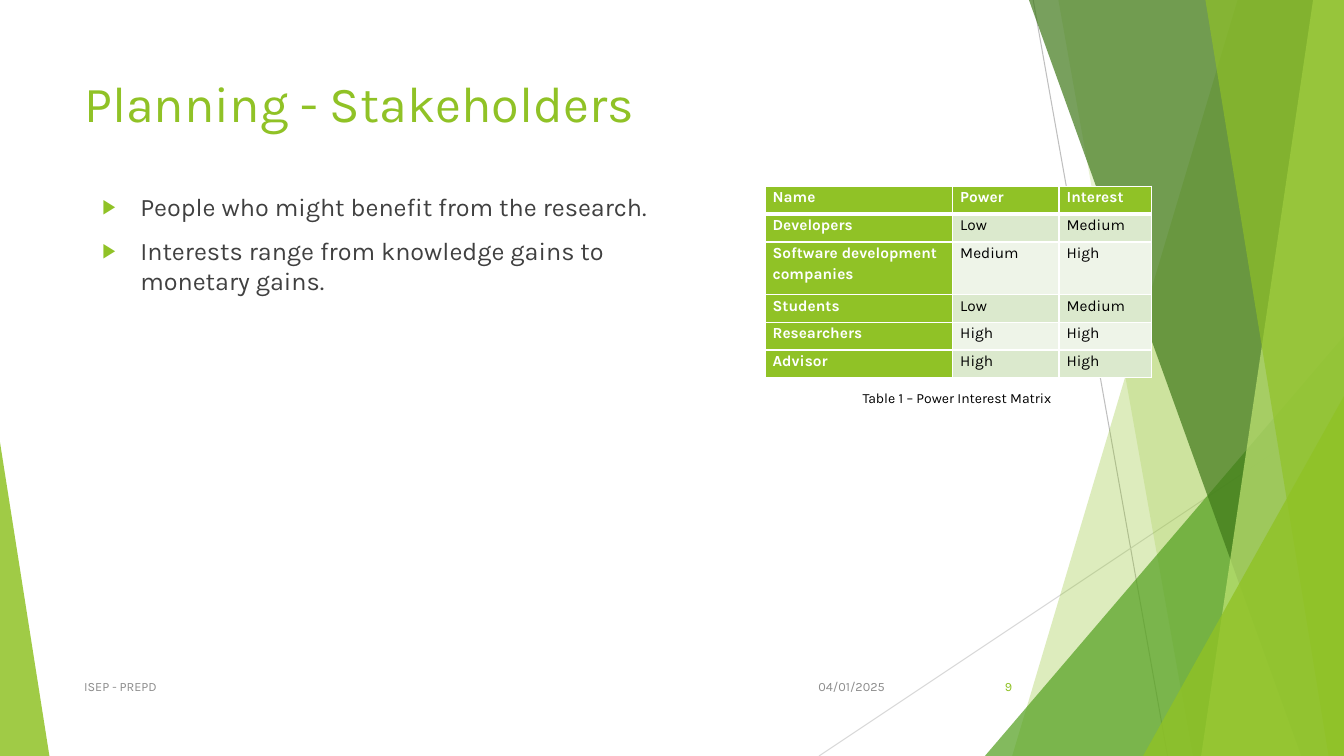
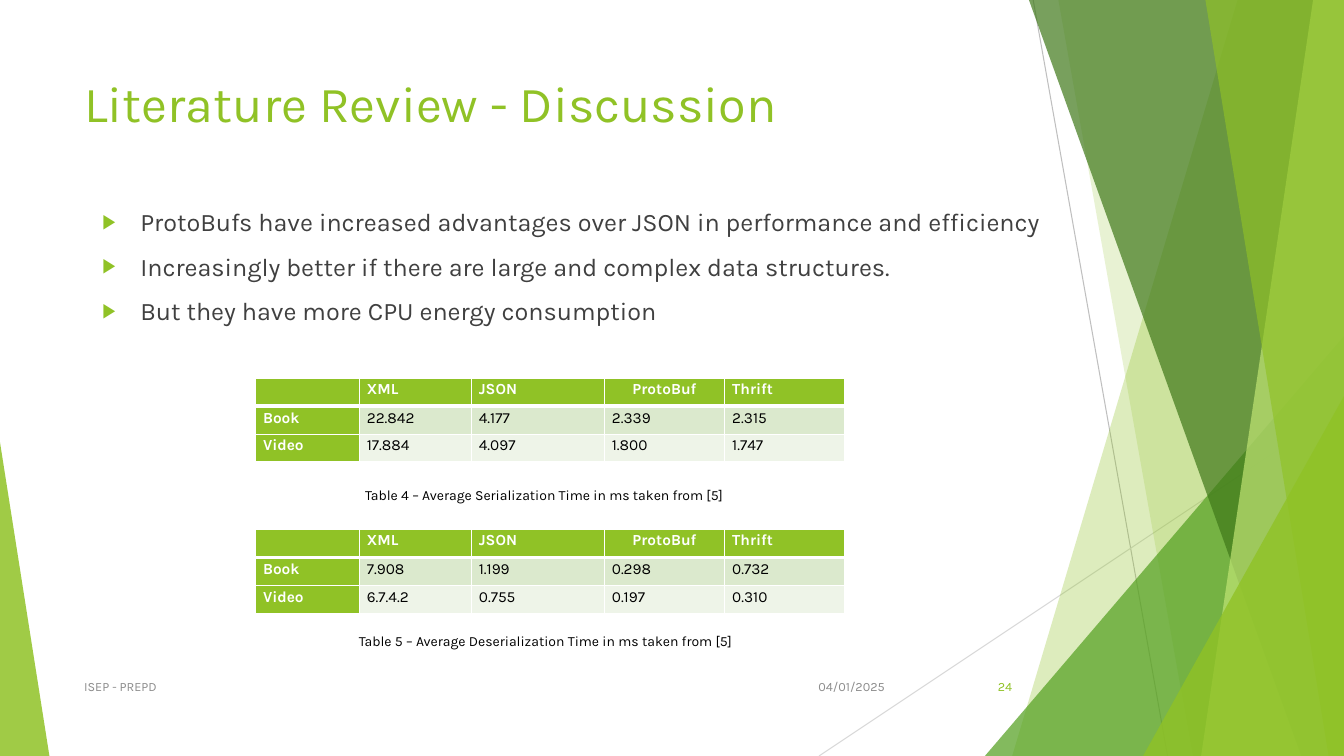
from lxml import etree
from pptx import Presentation
from pptx.dml.color import RGBColor
from pptx.enum.shapes import MSO_CONNECTOR, MSO_SHAPE
from pptx.enum.text import MSO_ANCHOR, MSO_AUTO_SIZE, PP_ALIGN
from pptx.oxml.ns import qn
from pptx.util import Pt

LEFT, CENTER, RIGHT = PP_ALIGN.LEFT, PP_ALIGN.CENTER, PP_ALIGN.RIGHT
TOP, MIDDLE = MSO_ANCHOR.TOP, MSO_ANCHOR.MIDDLE
STRAIGHT, TRIANGLE = MSO_CONNECTOR.STRAIGHT, MSO_SHAPE.ISOSCELES_TRIANGLE
NO_AUTOFIT = MSO_AUTO_SIZE.NONE

WIDTH, HEIGHT = 960, 540
FONT = "Karla"
GREEN, LEAF, FOREST, LIME = "90C226", "54A021", "3F7819", "C0E474"
WHITE, BLACK, BODY_GREY, FOOTER_GREY = "FFFFFF", "000000", "404040", "8C8C8C"
ROW_TINTS = ["EEF4E8", "DBE9CD"]
ROW_HEIGHT = 19.9


def solid(fill, colour):
    fill.solid()
    fill.fore_color.rgb = RGBColor.from_string(colour)


def write(para, text, size, colour, bold=False, align=LEFT, before=0, after=0,
          spacing=1.0, bullet=None):
    para.alignment = align
    para.line_spacing = spacing
    para.space_before, para.space_after = Pt(before), Pt(after)
    if bullet:
        properties = para._p.get_or_add_pPr()
        properties.set("marL", str(Pt(27)))
        properties.set("indent", str(Pt(-27)))
        bullet_colour = etree.SubElement(properties, qn("a:buClr"))
        etree.SubElement(bullet_colour, qn("a:srgbClr"), val=GREEN)
        etree.SubElement(properties, qn("a:buSzPct"), val="80000")
        etree.SubElement(properties, qn("a:buChar"), char=bullet)
    span = para.add_run()
    span.text = text
    span.font.name = FONT
    span.font.size = Pt(size)
    span.font.bold = bold
    span.font.color.rgb = RGBColor.from_string(colour)


TIMING_COLUMNS = [74.2, 80, 95, 86, 86]
TIMING_HEADER = ["", "XML", "JSON", "ProtoBuf", "Thrift"]

# Tables: left, top, column widths, rows. Captions: left, top, width, text.
contents = [
    {
        "title": "Planning - Stakeholders",
        "number": "9",
        "body": (66, 133, 408, 343),
        "bullets": [
            "People who might benefit from the research.",
            "Interests range from knowledge gains to monetary gains.",
        ],
        "tables": [
            (546.5, 133, [134, 76, 66], [
                ["Name", "Power", "Interest"],
                ["Developers", "Low", "Medium"],
                ["Software development companies", "Medium", "High"],
                ["Students", "Low", "Medium"],
                ["Researchers", "High", "High"],
                ["Advisor", "High", "High"],
            ]),
        ],
        "captions": [(535, 275, 297, "Table 1 – Power Interest Matrix")],
    },
    {
        "title": "Literature Review - Discussion",
        "number": "24",
        "body": (66, 144, 828, 343),
        "bullets": [
            "ProtoBufs have increased advantages over JSON in performance and efficiency",
            "Increasingly better if there are large and complex data structures.",
            "But they have more CPU energy consumption",
        ],
        "tables": [
            (182.5, 270, TIMING_COLUMNS, [
                TIMING_HEADER,
                ["Book", "22.842", "4.177", "2.339", "2.315"],
                ["Video", "17.884", "4.097", "1.800", "1.747"],
            ]),
            (182.5, 378, TIMING_COLUMNS, [
                TIMING_HEADER,
                ["Book", "7.908", "1.199", "0.298", "0.732"],
                ["Video", "6.7.4.2", "0.755", "0.197", "0.310"],
            ]),
        ],
        "captions": [
            (181, 344, 415, "Table 4 – Average Serialization Time in ms taken from [5]"),
            (182, 448, 415, "Table 5 – Average Deserialization Time in ms taken from [5]"),
        ],
    },
]

deck = Presentation()
deck.slide_width, deck.slide_height = Pt(WIDTH), Pt(HEIGHT)
layout = deck.slide_layouts[1]
heading = layout.placeholders[0]
heading.left, heading.top, heading.width, heading.height = Pt(53), Pt(48), Pt(677), Pt(104)
pages = [deck.slides.add_slide(layout) for _ in contents]

# Backdrop: drawn on the first page, then moved to the shared layout
canvas = pages[0].shapes
backdrop = []
for x1, y1, x2, y2, colour in [(738, 0, 834, HEIGHT, "BFBFBF"),
                               (WIDTH, 290, 585, HEIGHT, "D9D9D9")]:
    line = canvas.add_connector(STRAIGHT, Pt(x1), Pt(y1), Pt(x2), Pt(y2))
    solid(line.line.fill, colour)
    line.line.width = Pt(0.75)
    etree.SubElement(line.element.spPr, qn("a:effectLst"))
    backdrop.append(line)

# A band has its top and bottom x; a triangle has left, top, width and apex
for outline, colour, opacity in [
    ((884, 723), GREEN, 30),
    ((756, 852), GREEN, 20),
    ((703.5, 240, 256.5, 1), LEAF, 72),
    ((735, 929.5), FOREST, 70),
    ((938, 858), LIME, 70),
    ((861, 949), GREEN, 65),
    ((816.5, 283, 143.5, 1), GREEN, 80),
    ((0, 316, 35.3, 0), GREEN, 85),
]:
    if len(outline) == 2:
        top_x, bottom_x = outline
        builder = canvas.build_freeform(Pt(top_x), 0)
        builder.add_line_segments([(Pt(WIDTH), 0), (Pt(WIDTH), Pt(HEIGHT)),
                                   (Pt(bottom_x), Pt(HEIGHT))], close=True)
        shape = builder.convert_to_shape()
    else:
        left, top, width, apex = outline
        shape = canvas.add_shape(TRIANGLE, Pt(left), Pt(top), Pt(width), Pt(HEIGHT - top))
        shape.adjustments[0] = apex
    solid(shape.fill, colour)
    shape.line.fill.background()
    shape.shadow.inherit = False
    fill_colour = shape.element.xpath(".//a:srgbClr")[0]
    etree.SubElement(fill_colour, qn("a:alpha"), val=str(opacity * 1000))
    backdrop.append(shape)

for index, shape in enumerate(backdrop):
    shape.element.xpath("./*/p:cNvPr")[0].set("id", str(100 + index))
    layout.shapes.element.insert(2 + index, shape.element)

for page, content in zip(pages, contents):
    title, body = page.placeholders
    body.left, body.top, body.width, body.height = [Pt(value) for value in content["body"]]
    for holder in (title, body):
        holder.text_frame.auto_size = NO_AUTOFIT
        holder.text_frame.vertical_anchor = TOP
    write(title.text_frame.paragraphs[0], content["title"], 36, GREEN)
    for index, text in enumerate(content["bullets"]):
        frame = body.text_frame
        para = frame.add_paragraph() if index else frame.paragraphs[0]
        write(para, text, 18, BODY_GREY, before=10, bullet="▶")

    for left, top, widths, rows in content["tables"]:
        table = page.shapes.add_table(len(rows), len(widths), Pt(left), Pt(top),
                                      Pt(sum(widths)), Pt(ROW_HEIGHT * len(rows))).table
        for column, width in zip(table.columns, widths):
            column.width = Pt(width)
        for r, row in enumerate(rows):
            two_lines = len(row[0]) > 25
            table.rows[r].height = Pt(37.4 if two_lines else ROW_HEIGHT)
            for c, text in enumerate(row):
                cell = table.cell(r, c)
                cell.margin_left = cell.margin_right = Pt(5.4)
                cell.margin_top = cell.margin_bottom = 0
                header = r == 0 or c == 0
                write(cell.text_frame.paragraphs[0], text, 11, WHITE if header else BLACK,
                      bold=header, align=CENTER if text == "ProtoBuf" else LEFT,
                      after=10, spacing=1.15)
                borders = {"lnL": 1, "lnR": 1, "lnT": 3 if r == 1 else 1,
                           "lnB": 3 if r == 0 else 1}
                for side, weight in borders.items():
                    border = etree.SubElement(cell._tc.get_or_add_tcPr(), qn(f"a:{side}"),
                                              w=str(Pt(weight)))
                    border_fill = etree.SubElement(border, qn("a:solidFill"))
                    etree.SubElement(border_fill, qn("a:srgbClr"), val=WHITE)
                solid(cell.fill, GREEN if header else ROW_TINTS[r % 2])

    labels = [
        (567, 476, 72, 29, "04/01/2025", 9, FOOTER_GREY, RIGHT, MIDDLE),
        (53, 476, 496, 29, "ISEP - PREPD", 9, FOOTER_GREY, LEFT, MIDDLE),
        (676, 476, 54, 29, content["number"], 9, GREEN, RIGHT, MIDDLE),
    ]
    for left, top, width, text in content["captions"]:
        labels.append((left, top, width, 19.4, text, 10, BLACK, CENTER, TOP))
    for left, top, width, height, text, size, colour, align, anchor in labels:
        box = page.shapes.add_textbox(Pt(left), Pt(top), Pt(width), Pt(height))
        box.text_frame.word_wrap = True
        box.text_frame.vertical_anchor = anchor
        write(box.text_frame.paragraphs[0], text, size, colour, align=align)

deck.save("out.pptx")
